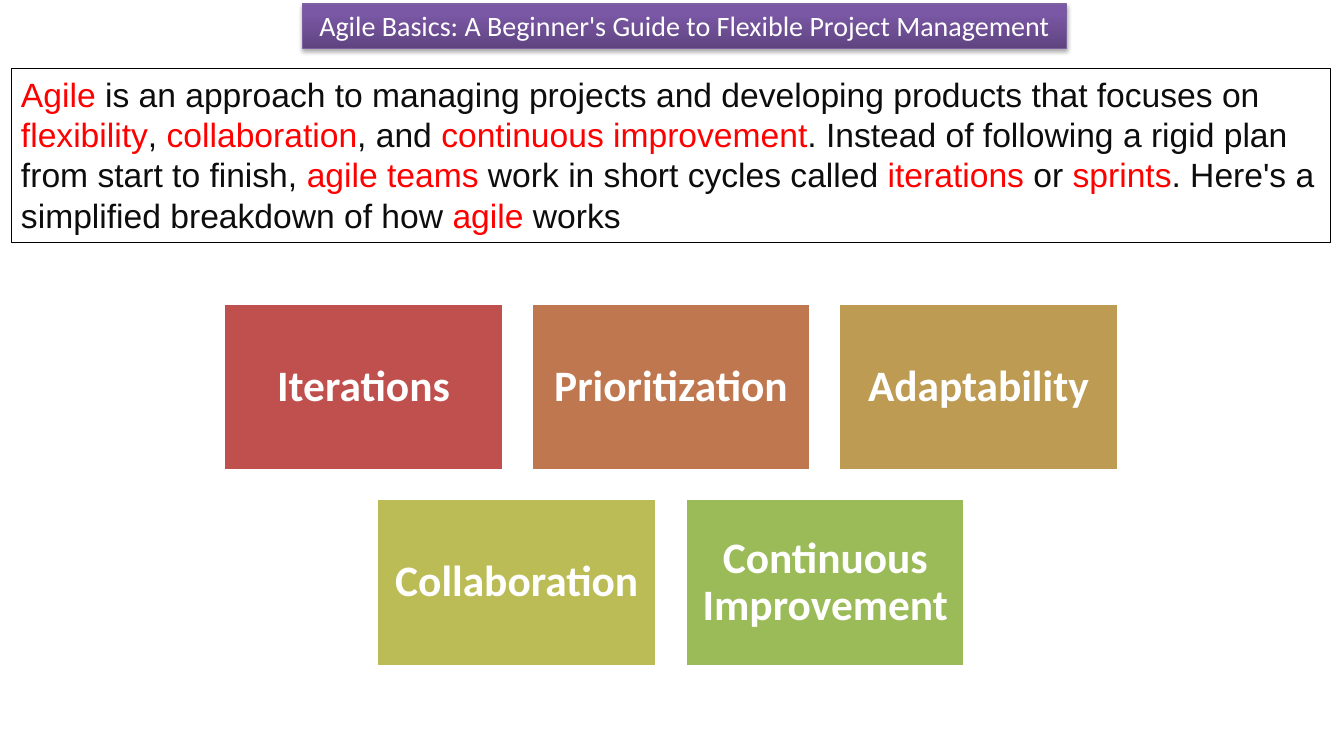
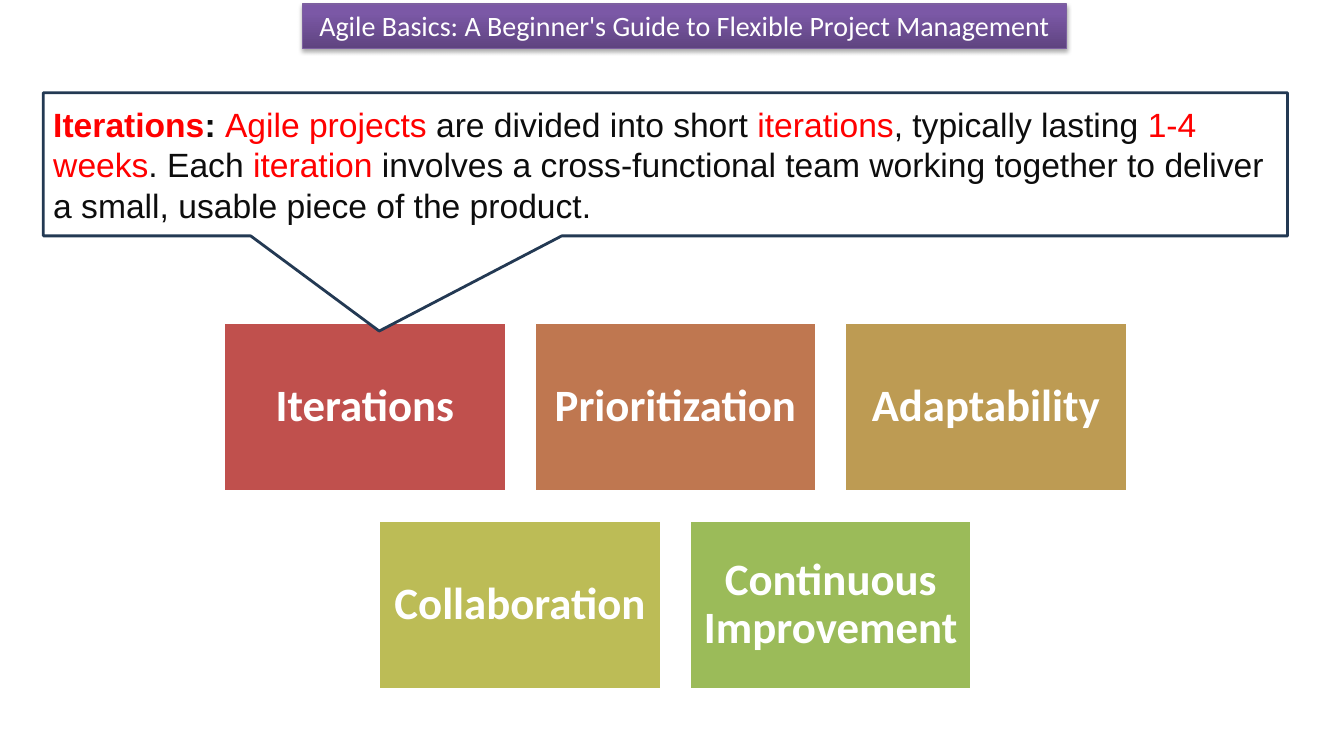
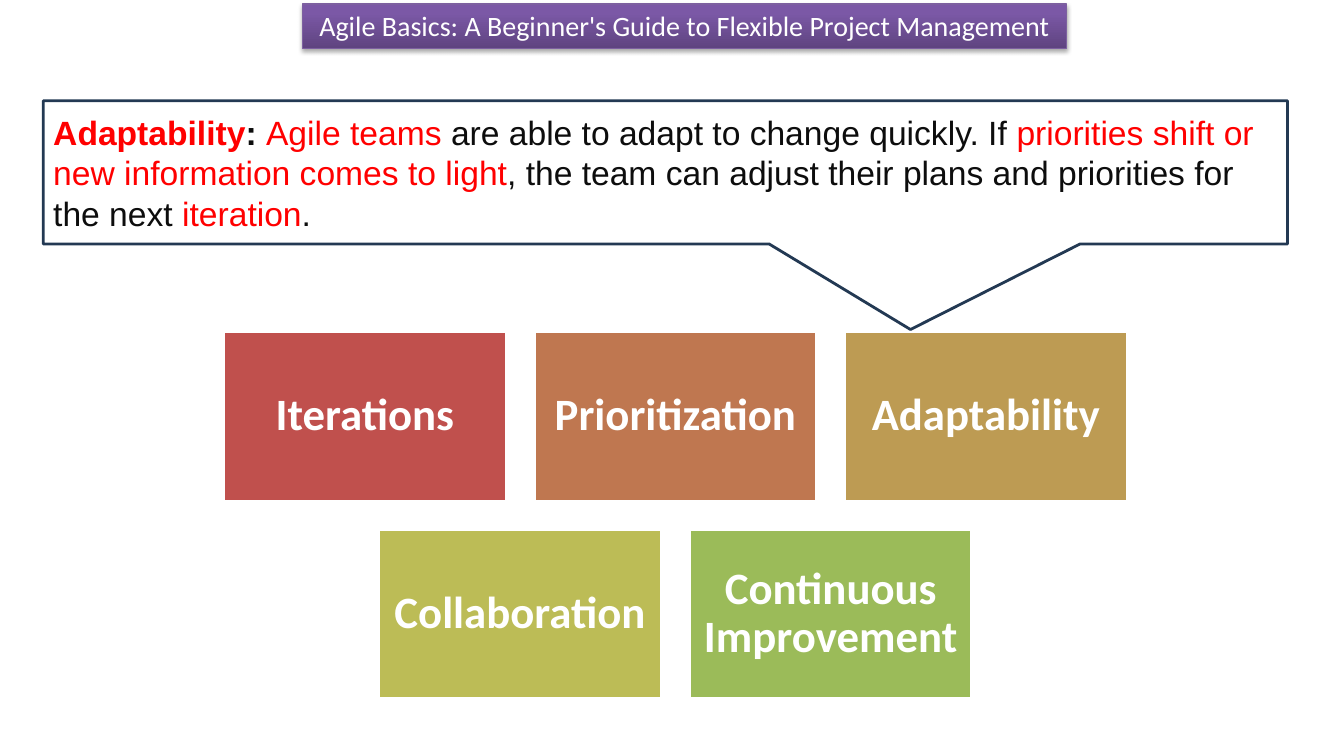
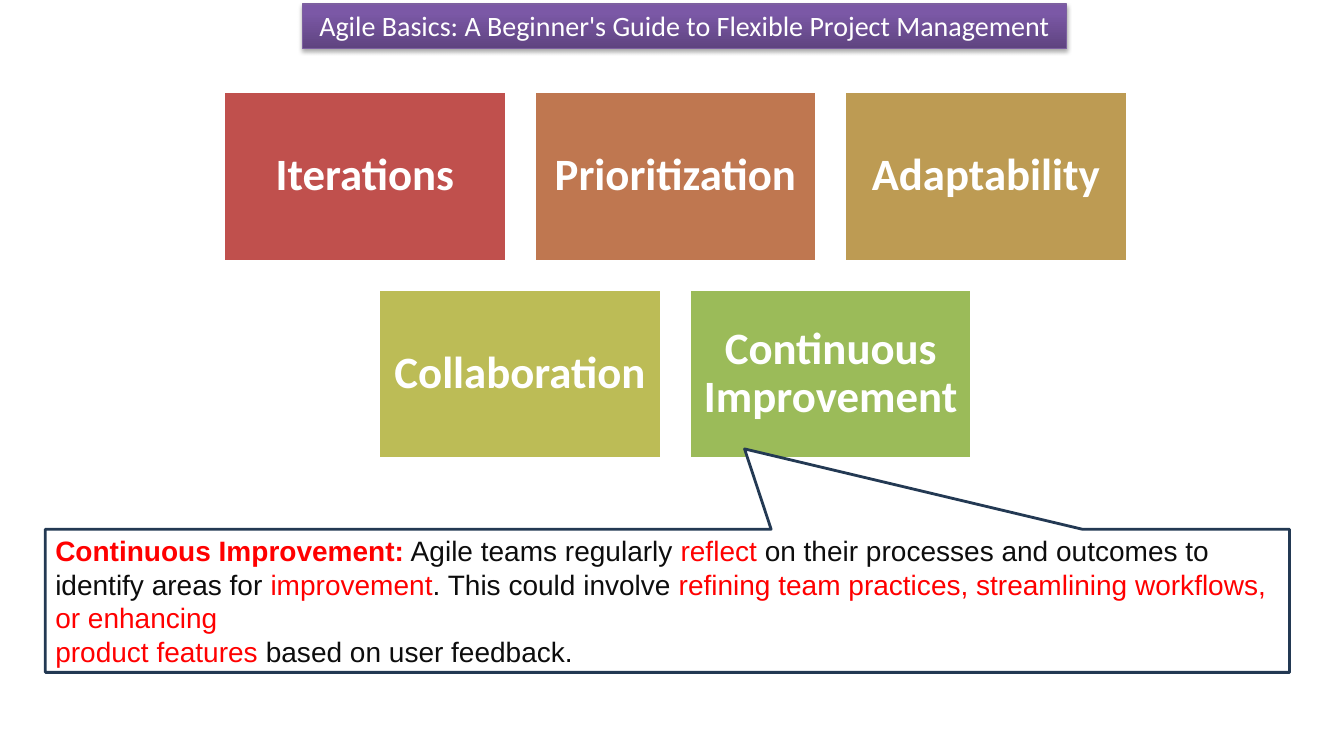
from copy import deepcopy

from pptx import Presentation
from pptx import util as u
from pptx.dml.color import RGBColor
from pptx.enum import shapes, text
from pptx.oxml import parse_xml
from pptx.oxml.ns import nsdecls, qn

PX = 9144  # EMU in one px, 100 px to the inch
COLORS = {
    "white": "FFFFFF", "black": "000000", "ink": "0D0D0D", "red": "FF0000",
    "navy": "233953", "purple": "7D60A0",
}
TITLE = "Agile Basics: A Beginner's Guide to Flexible Project Management"
TITLE_STOPS = [(0, "5F4480"), (0.8, "7B58A6"), (1, "7C57A8")]
TITLE_SHADOW = (
    f'<a:effectLst {nsdecls("a")}><a:outerShdw blurRad="39370" dist="22860" dir="5400000" rotWithShape="0">'
    f'<a:srgbClr val="{COLORS["black"]}"><a:alpha val="35000"/></a:srgbClr></a:outerShdw></a:effectLst>'
)
PRINCIPLES = [  # name, fill, column, row
    ("Iterations", "C0504D", 0, 0),
    ("Prioritization", "BF7750", 1, 0),
    ("Adaptability", "BD9B53", 2, 0),
    ("Collaboration", "BCBC56", 0.5, 1),
    ("Continuous Improvement", "9BBB59", 1.5, 1),
]
GRID_LEFT, GRID_GAP = 222, 28
RECTANGLE = shapes.MSO_SHAPE.RECTANGLE
CALLOUT = shapes.MSO_SHAPE.RECTANGULAR_CALLOUT
TOP, MIDDLE = text.MSO_ANCHOR.TOP, text.MSO_ANCHOR.MIDDLE

# In note paragraphs *stars* mark red words, and the part before | is bold.
SLIDES = [
    {
        "grid": {"top": 301, "width": 277, "height": 166, "size": 31},
        "note": {"kind": RECTANGLE, "box": (11, 68, 1308, 172), "pointer": (), "size": 24,
                 "line": "black", "line_width": 0.25, "anchor": TOP},
        "paragraphs": [
            "*Agile* is an approach to managing projects and developing products that focuses on "
            "*flexibility*, *collaboration*, and *continuous improvement*. Instead of following a "
            "rigid plan from start to finish, *agile teams* work in short cycles called *iterations* "
            "or *sprints*. Here's a simplified breakdown of how *agile* works",
        ],
    },
    {
        "grid": {"top": 320, "width": 280, "height": 168, "size": 32},
        "note": {"kind": CALLOUT, "box": (43, 92, 1234, 142), "pointer": (-0.23, 1.165), "size": 24,
                 "line": "navy", "line_width": 2, "anchor": MIDDLE},
        "paragraphs": [
            "*Iterations*:| *Agile projects* are divided into short *iterations*, typically lasting "
            "*1-4 weeks*. Each *iteration* involves a cross-functional team working together to "
            "deliver a small, usable piece of the product.",
        ],
    },
    {
        "grid": {"top": 329, "width": 280, "height": 168, "size": 32},
        "note": {"kind": CALLOUT, "box": (43, 100, 1234, 142), "pointer": (0.197, 1.098), "size": 24,
                 "line": "navy", "line_width": 2, "anchor": MIDDLE},
        "paragraphs": [
            "*Adaptability*:| *Agile teams* are able to adapt to change quickly. If *priorities shift "
            "or new information comes to light*, the team can adjust their plans and priorities for "
            "the next *iteration*.",
        ],
    },
    {
        "grid": {"top": 91, "width": 280, "height": 168, "size": 32},
        "note": {"kind": CALLOUT, "box": (45, 525, 1234, 142), "pointer": (0.062, -1.061), "size": 20,
                 "line": "navy", "line_width": 2, "anchor": MIDDLE},
        "paragraphs": [
            "*Continuous Improvement:*| Agile teams regularly *reflect* on their processes and "
            "outcomes to identify areas for *improvement*. This could involve *refining team "
            "practices, streamlining workflows, or enhancing*",
            "*product features* based on user feedback.",
        ],
    },
]


def add_box(slide, kind, box, fill, line, line_width, anchor):
    """Add a flat shape, with box in px, and return it ready for text."""
    shape = slide.shapes.add_shape(kind, *(round(length) * PX for length in box))
    shape.shadow.inherit = False
    shape.fill.solid()
    shape.fill.fore_color.rgb = RGBColor.from_string(fill)
    shape.line.color.rgb = RGBColor.from_string(line)
    shape.line.width = u.Pt(line_width)
    shape.text_frame.word_wrap = True
    shape.text_frame.vertical_anchor = anchor
    return shape


def add_run(paragraph, words, color, **font_format):
    run = paragraph.add_run()
    run.text = words
    run.font.color.rgb = RGBColor.from_string(color)
    for name, value in font_format.items():
        setattr(run.font, name, value)


presentation = Presentation()
presentation.slide_width = 1333 * PX
presentation.slide_height = 750 * PX

for content in SLIDES:
    slide = presentation.slides.add_slide(presentation.slide_layouts[6])

    title = add_box(slide, RECTANGLE, (300, 4, 758, 44), COLORS["purple"], COLORS["purple"], 0.75, TOP)
    title.fill.gradient()
    title.fill.gradient_angle = 90
    stop_list = title._element.spPr.find(".//" + qn("a:gsLst"))
    stop_list.append(deepcopy(stop_list[-1]))
    for stop, (position, color) in zip(title.fill.gradient_stops, TITLE_STOPS):
        stop.position = position
        stop.color.rgb = RGBColor.from_string(color)
    effects = title._element.spPr.find(qn("a:effectLst"))
    effects.getparent().replace(effects, parse_xml(TITLE_SHADOW))
    paragraph = title.text_frame.paragraphs[0]
    paragraph.alignment = text.PP_ALIGN.CENTER
    add_run(paragraph, TITLE, COLORS["white"], name="Calibri", size=u.Pt(20))

    grid = content["grid"]
    for name, fill, column, row in PRINCIPLES:
        box = (GRID_LEFT + column * (grid["width"] + GRID_GAP),
               grid["top"] + row * (grid["height"] + GRID_GAP), grid["width"], grid["height"])
        principle = add_box(slide, RECTANGLE, box, fill, COLORS["white"], 2, MIDDLE)
        for side in ("left", "top", "right", "bottom"):
            setattr(principle.text_frame, f"margin_{side}", 13 * PX)
        paragraph = principle.text_frame.paragraphs[0]
        paragraph.alignment = text.PP_ALIGN.CENTER
        paragraph.line_spacing = 0.9
        add_run(paragraph, name, COLORS["white"], name="Calibri", size=u.Pt(grid["size"]), bold=True)

    note = content["note"]
    note_shape = add_box(slide, note["kind"], note["box"], COLORS["white"], COLORS[note["line"]],
                         note["line_width"], note["anchor"])
    for index, value in enumerate(note["pointer"]):
        note_shape.adjustments[index] = value
    frame = note_shape.text_frame
    for index, source in enumerate(content["paragraphs"]):
        paragraph = frame.add_paragraph() if index else frame.paragraphs[0]
        paragraph.alignment = text.PP_ALIGN.LEFT
        lead, _, body = source.rpartition("|")
        for part, bold in ((lead, True), (body, False)):
            for position, words in enumerate(part.split("*")):
                if words:
                    color = COLORS["red" if position % 2 else "ink"]
                    add_run(paragraph, words, color, name="Arial", size=u.Pt(note["size"]), bold=bold)

presentation.save("out.pptx")
